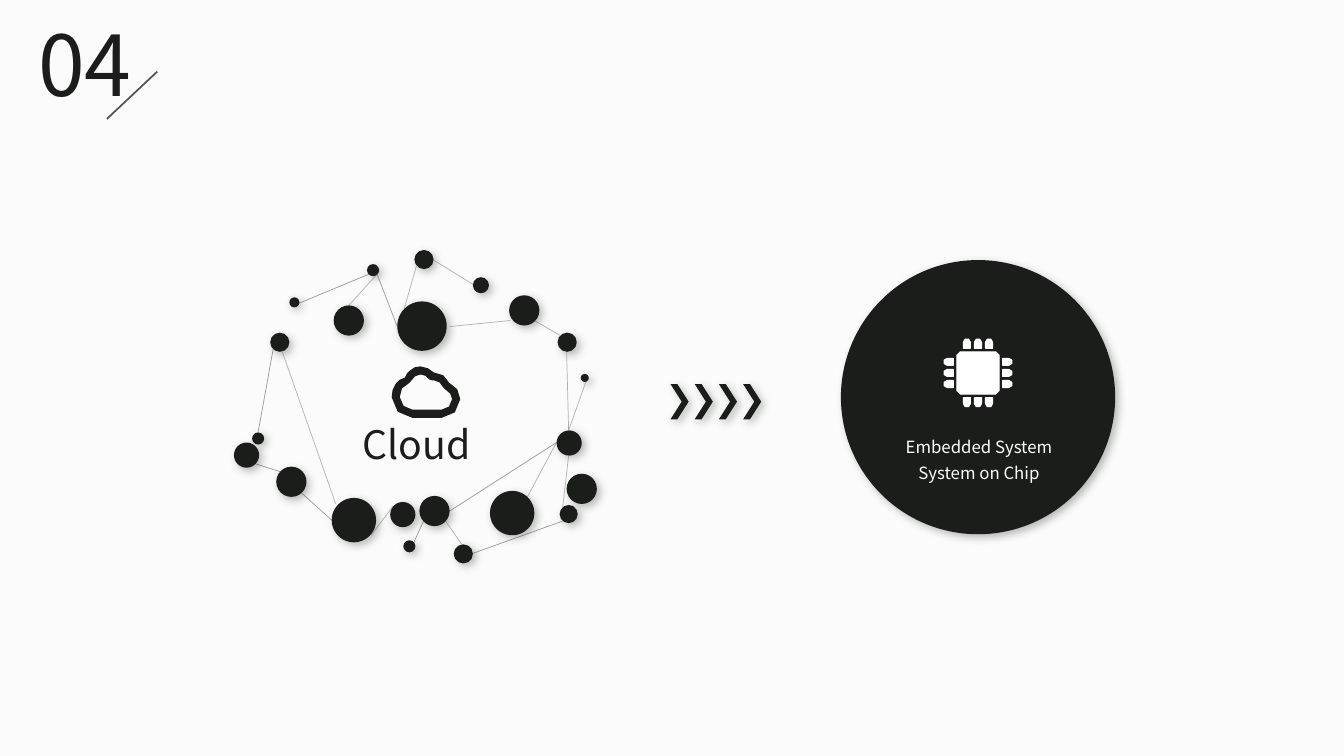
import math
from dataclasses import dataclass
from typing import NamedTuple

import pptx
import pptx.dml.color
import pptx.enum.dml
import pptx.enum.shapes
import pptx.enum.text
import pptx.oxml
import pptx.oxml.ns
import pptx.util
from pptx.util import Inches

Point = tuple[float, float]
Shape = pptx.enum.shapes.MSO_SHAPE
Align = pptx.enum.text.PP_ALIGN
NS = pptx.oxml.ns.nsdecls("a")


@dataclass(frozen=True)
class Theme:
    font: str = "Noto Sans CJK SC"
    paper: str = "FBFBFB"
    ink: str = "1A1D1A"
    grey: str = "545454"
    shadow: str = "505950"
    white: str = "FFFFFF"
    number_size: int = 60
    title_size: int = 28
    label_size: int = 12
    link_width: float = 0.5
    icon_width: float = 0.75
    slash_width: float = 1.25


class Dot(NamedTuple):
    x: float
    y: float
    d: float


class Link(NamedTuple):
    x1: float
    y1: float
    x2: float
    y2: float
    color: str


class Label(NamedTuple):
    lines: list[str]
    box: tuple[float, float, float, float]
    size: int
    color: str
    align: Align = Align.LEFT
    spacing: float = 1.0
    wrap: bool = True


T = Theme()
DOTS = [Dot(*d) for d in [
    (2.32, 4.39, .25), (3.87, 4.98, .25), (5.55, 5.01, .18), (5.52, 4.27, .25),
    (2.68, 3.3, .19), (2.87, 2.95, .1), (3.31, 3.03, .3), (3.64, 2.62, .12),
    (4.11, 2.48, .19), (4.69, 2.75, .16), (5.05, 2.93, .3), (5.53, 3.3, .19),
    (5.76, 3.71, .08), (3.94, 2.99, .49), (2.5, 4.29, .12), (2.74, 4.63, .3),
    (3.29, 4.94, .44), (4, 5.36, .12), (4.16, 4.92, .3), (4.5, 5.4, .19),
    (4.86, 4.87, .44), (5.62, 4.7, .3)]]
LINKS = [Link(*ends, color) for color, group in {
    T.ink: [
        (5.52, 4.39, 4.46, 5.07), (5.58, 5.17, 4.69, 5.49), (3.29, 5.16, 2.99, 4.89),
        (2.56, 4.29, 2.71, 3.46), (3.66, 2.72, 2.89, 3.04), (2.78, 4.68, 2.53, 4.6),
        (4.2, 5.17, 4.06, 5.48), (3.74, 2.72, 3.94, 3.24)],
    T.grey: [
        (5.06, 3.18, 4.46, 3.24), (5.64, 4.27, 5.62, 3.49), (3.74, 2.72, 3.46, 3.03),
        (4.42, 5.17, 4.58, 5.4), (2.8, 3.49, 3.33, 5), (5.81, 3.79, 5.64, 4.27),
        (3.9, 5.02, 3.68, 5.31), (5.3, 3.18, 5.56, 3.33), (4.3, 2.58, 4.69, 2.82),
        (4.13, 2.64, 4.01, 3.06), (5.52, 4.39, 5.23, 4.93), (5.64, 4.52, 5.58, 5.04)],
}.items() for ends in group]
LABELS = [
    Label(["Cloud"], (3.5, 4.12, 1.36, .57), T.title_size, T.ink, wrap=False),
    Label(["Embedded System", "System on Chip"], (8.47, 4.22, 2.48, .6),
          T.label_size, T.white, Align.CENTER, 1.3),
    Label(["04"], (.28, .07, 1.14, 1.11), T.number_size, T.ink, Align.JUSTIFY)]

# Each contour: its start, then end points of lines or control and end points of curves.
CLOUD = [
    [(4.45, 3.8), (4.43, 3.74, 4.37, 3.7, 4.3, 3.7), (4.27, 3.67, 4.22, 3.64, 4.17, 3.64),
     (4.13, 3.64, 4.1, 3.65, 4.07, 3.68), (4.05, 3.69, 4.03, 3.72, 4.02, 3.75),
     (3.98, 3.76, 3.95, 3.78, 3.93, 3.81), (3.9, 3.85, 3.89, 3.89, 3.89, 3.94),
     (3.89, 4.05, 3.98, 4.14, 4.09, 4.14), (4.38, 4.14),
     (4.48, 4.14, 4.56, 4.06, 4.56, 3.96), (4.56, 3.89, 4.52, 3.83, 4.45, 3.8)],
    [(4.38, 4.07), (4.09, 4.07), (4.02, 4.07, 3.96, 4.01, 3.96, 3.94),
     (3.96, 3.87, 3.99, 3.82, 4.05, 3.8), (4.07, 3.78),
     (4.09, 3.74, 4.13, 3.71, 4.17, 3.71), (4.21, 3.71, 4.24, 3.73, 4.26, 3.76),
     (4.29, 3.77), (4.31, 3.77), (4.35, 3.77, 4.38, 3.8, 4.4, 3.84), (4.42, 3.86),
     (4.46, 3.88, 4.49, 3.92, 4.49, 3.96), (4.49, 4.02, 4.44, 4.07, 4.38, 4.07)]]


def rgb(color: str) -> pptx.dml.color.RGBColor:
    return pptx.dml.color.RGBColor.from_string(color)


def add_shadowed(shapes, kind: Shape, x: float, y: float, w: float, h: float):
    sp = shapes.add_shape(kind, Inches(x), Inches(y), Inches(w), Inches(h))
    sp.fill.solid()
    sp.fill.fore_color.rgb = rgb(T.ink)
    sp.line.fill.background()
    sp._element.spPr.append(pptx.oxml.parse_xml(
        f'<a:effectLst {NS}><a:outerShdw blurRad="76200" dist="38100" dir="2700000" '
        f'algn="tl" rotWithShape="0"><a:srgbClr val="{T.shadow}"><a:alpha val="40000"/>'
        '</a:srgbClr></a:outerShdw></a:effectLst>'))
    return sp


def add_link(shapes, link: Link, width: float, opacity: int = 100) -> None:
    ends = [Inches(v) for v in link[:4]]
    c = shapes.add_connector(pptx.enum.shapes.MSO_CONNECTOR.STRAIGHT, *ends)
    c.line.width = pptx.util.Pt(width)
    c.line.color.rgb = rgb(link.color)
    spPr = c._element.spPr
    if opacity < 100:
        color = spPr.find(".//" + pptx.oxml.ns.qn("a:srgbClr"))
        color.append(pptx.oxml.parse_xml(f'<a:alpha {NS} val="{opacity * 1000}"/>'))
    spPr.append(pptx.oxml.parse_xml(f"<a:effectLst {NS}/>"))


def add_label(shapes, label: Label) -> None:
    tf = shapes.add_textbox(*(Inches(v) for v in label.box)).text_frame
    tf.word_wrap = label.wrap
    tf.auto_size = pptx.enum.text.MSO_AUTO_SIZE.SHAPE_TO_FIT_TEXT
    tf.text = "\n".join(label.lines)
    for p in tf.paragraphs:
        p.alignment = label.align
        p.line_spacing = label.spacing
        p.font.name = T.font
        p.font.size = pptx.util.Pt(label.size)
        p.font.color.rgb = rgb(label.color)


def flatten(contour: list[tuple[float, ...]], steps: int = 2) -> list[Point]:
    """Turn lines and cubic curves into points along the contour."""
    points = [contour[0]]
    for seg in contour[1:]:
        if len(seg) == 2:
            points.append(seg)
            continue
        knots = [points[-1], seg[:2], seg[2:4], seg[4:]]
        for i in range(1, steps + 1):
            t = i / steps
            weights = [math.comb(3, k) * t**k * (1 - t)**(3 - k) for k in range(4)]
            points.append(tuple(sum(w * k[axis] for w, k in zip(weights, knots))
                                for axis in (0, 1)))
    return points


def arc(x: float, y: float, r: float, start: int, sweep: int, steps: int) -> list[Point]:
    angles = [math.radians(start + sweep * i / steps) for i in range(steps + 1)]
    return [(x + r * math.cos(a), y + r * math.sin(a)) for a in angles]


def chip_contours(cx: float, cy: float) -> list[list[Point]]:
    """A rounded body with three round-tipped pins on each side."""
    half, base, tip, r, pitch = .21, .245, .34, .035, .11
    inner = half - r
    body = []
    for quarter, (sx, sy) in enumerate([(1, 1), (-1, 1), (-1, -1), (1, -1)]):
        body += arc(cx + sx * inner, cy + sy * inner, r, quarter * 90, 90, 1)
    contours = [body]
    for ux, uy in [(1, 0), (0, 1), (-1, 0), (0, -1)]:
        for offset in (-pitch, 0, pitch):
            pin = [(base, offset - r), *arc(tip - r, offset, r, -90, 180, 3),
                   (base, offset + r)]
            contours.append([(cx + a * ux - b * uy, cy + a * uy + b * ux) for a, b in pin])
    return contours


def add_icon(shapes, contours: list[list[Point]], color: str) -> None:
    scaled = [[(Inches(x), Inches(y)) for x, y in c] for c in contours]
    builder = shapes.build_freeform(*scaled[0][0])
    for i, points in enumerate(scaled):
        if i:
            builder.move_to(*points[0])
        builder.add_line_segments(points[1:], close=True)
    sp = builder.convert_to_shape()
    sp.shadow.inherit = False
    sp.fill.solid()
    sp.fill.fore_color.rgb = rgb(color)
    sp.line.color.rgb = rgb(color)
    sp.line.width = pptx.util.Pt(T.icon_width)


def main() -> None:
    prs = pptx.Presentation()
    prs.slide_width, prs.slide_height = Inches(13.33), Inches(7.5)
    s = prs.slides.add_slide(prs.slide_layouts[6])
    s.background.fill.solid()
    s.background.fill.fore_color.rgb = rgb(T.paper)
    for dot in DOTS:
        add_shadowed(s.shapes, Shape.OVAL, dot.x, dot.y, dot.d, dot.d)
    add_shadowed(s.shapes, Shape.OVAL, 8.34, 2.58, 2.72, 2.72)
    for i in range(4):
        chevron = add_shadowed(s.shapes, Shape.CHEVRON, 6.65 + .24 * i, 3.81, .18, .35)
        chevron.adjustments[0] = .62
    for link in LINKS:
        add_link(s.shapes, link, T.link_width, opacity=43)
    for label in LABELS:
        add_label(s.shapes, label)
    add_link(s.shapes, Link(1.56, .71, 1.06, 1.18, T.grey), T.slash_width)
    add_icon(s.shapes, chip_contours(9.7, 3.7), T.white)
    add_icon(s.shapes, [flatten(c) for c in CLOUD], T.ink)
    prs.save("out.pptx")


if __name__ == "__main__":
    main()
